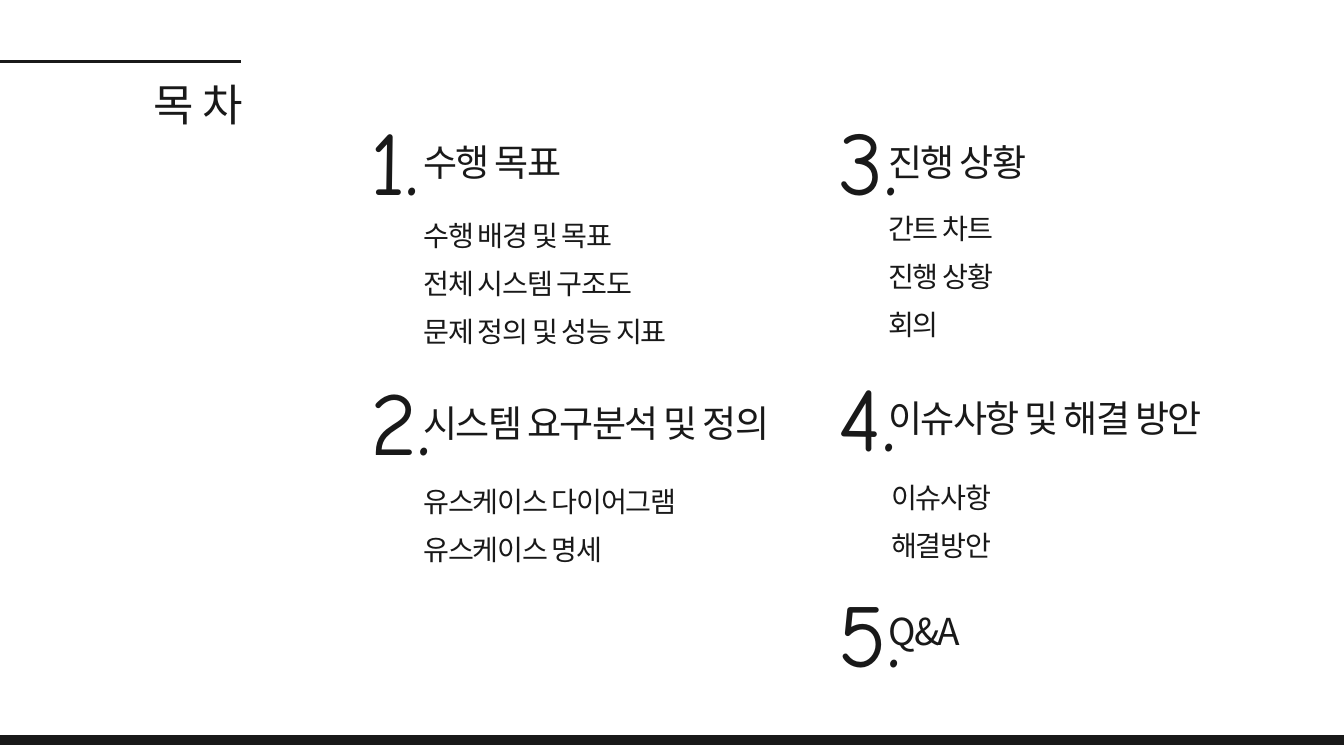
from lxml import etree
from pptx import Presentation
from pptx.dml.color import RGBColor
from pptx.enum.shapes import MSO_CONNECTOR, MSO_SHAPE
from pptx.enum.text import MSO_ANCHOR, MSO_AUTO_SIZE, PP_ALIGN
from pptx.oxml.ns import qn
from pptx.util import Pt

LEFT, RIGHT = PP_ALIGN.LEFT, PP_ALIGN.RIGHT
TITLE_ONLY = 5
KOREAN, NUMERAL = "Noto Sans CJK KR", "Comic Neue"
COLORS = {"ink": RGBColor.from_string("191919"), "paper": RGBColor.from_string("FFFFFF")}

# size, line spacing, letter spacing in hundredths of a point, font
STYLES = {
    "title": (47.1, 65.9, -70, KOREAN),
    "number": (96.3, 134.8, 0, NUMERAL),
    "heading": (39.7, 55.6, -180, KOREAN),
    "items": (30.2, 51.4, -140, KOREAN),
}


def write(box, lines, style, align=LEFT):
    """Fill a box with one paragraph per line in the named style."""
    size, leading, tracking, typeface = STYLES[style]
    frame = box.text_frame
    frame.margin_left = frame.margin_top = frame.margin_right = frame.margin_bottom = 0
    frame.word_wrap = True
    frame.auto_size = MSO_AUTO_SIZE.NONE
    frame.vertical_anchor = MSO_ANCHOR.TOP
    frame.text = "\n".join(lines)
    for paragraph in frame.paragraphs:
        paragraph.alignment = align
        paragraph.line_spacing = Pt(leading)
        paragraph.space_before = Pt(0)
        font = paragraph.font
        font.size = Pt(size)
        font.name = typeface
        font.color.rgb = COLORS["ink"]
        properties = paragraph._p.pPr.find(qn("a:defRPr"))
        properties.set("spc", str(tracking))
        etree.SubElement(properties, qn("a:ea")).set("typeface", typeface)


def add_text(left, top, width, height, lines, style):
    box = page.shapes.add_textbox(Pt(left), Pt(top), Pt(width), Pt(height))
    write(box, lines, style)


deck = Presentation()
deck.slide_width, deck.slide_height = Pt(1440), Pt(810)
page = deck.slides.add_slide(deck.slide_layouts[TITLE_ONLY])
page.background.fill.solid()
page.background.fill.fore_color.rgb = COLORS["paper"]

title = page.shapes.title
title.left, title.top, title.width, title.height = Pt(88.5), Pt(73.4), Pt(172), Pt(63.4)
write(title, ["목 차"], "title", RIGHT)

title_rule = page.shapes.add_connector(MSO_CONNECTOR.STRAIGHT, Pt(0), Pt(65.5), Pt(257.8), Pt(65.5))
title_rule.line.color.rgb = COLORS["ink"]
title_rule.line.width = Pt(3)
etree.SubElement(title_rule._element.spPr, qn("a:effectLst"))

bottom_bar = page.shapes.add_shape(MSO_SHAPE.RECTANGLE, Pt(-23), Pt(788.4), Pt(1486), Pt(9.4))
bottom_bar.shadow.inherit = False
bottom_bar.fill.solid()
bottom_bar.fill.fore_color.rgb = COLORS["ink"]
bottom_bar.line.color.rgb = COLORS["ink"]
bottom_bar.line.width = Pt(1.5)

# number left, heading left
COLUMNS = [(396.7, 453.6), (898.6, 951.8)]

# column, number top, heading top, heading width, heading, items (left, top, width), items
TOPICS = [
    (0, 94.3, 141.1, 295, "수행 목표", (453.6, 218.9, 322),
     ["수행 배경 및 목표", "전체 시스템 구조도", "문제 정의 및 성능 지표"]),
    (0, 373, 421.2, 376, "시스템 요구분석 및 정의", (453.6, 503.3, 322),
     ["유스케이스 다이어그램", "유스케이스 명세"]),
    (1, 94.3, 141.1, 240, "진행 상황", (951.8, 211.7, 322),
     ["간트 차트", "진행 상황", "회의"]),
    (1, 368.6, 416.2, 354, "이슈사항 및 해결 방안", (954.7, 499, 190),
     ["이슈사항", "해결방안"]),
    (1, 599.8, 643.7, 240, "Q&A", None, []),
]

for number, topic in enumerate(TOPICS, start=1):
    column, number_top, heading_top, heading_width, heading, place, items = topic
    number_left, heading_left = COLUMNS[column]
    add_text(heading_left, heading_top, heading_width, 54, [heading], "heading")
    if items:
        left, top, width = place
        add_text(left, top, width, 50 * len(items), items, "items")
    add_text(number_left, number_top, 70, 129.6, [f"{number}."], "number")

deck.save("out.pptx")
